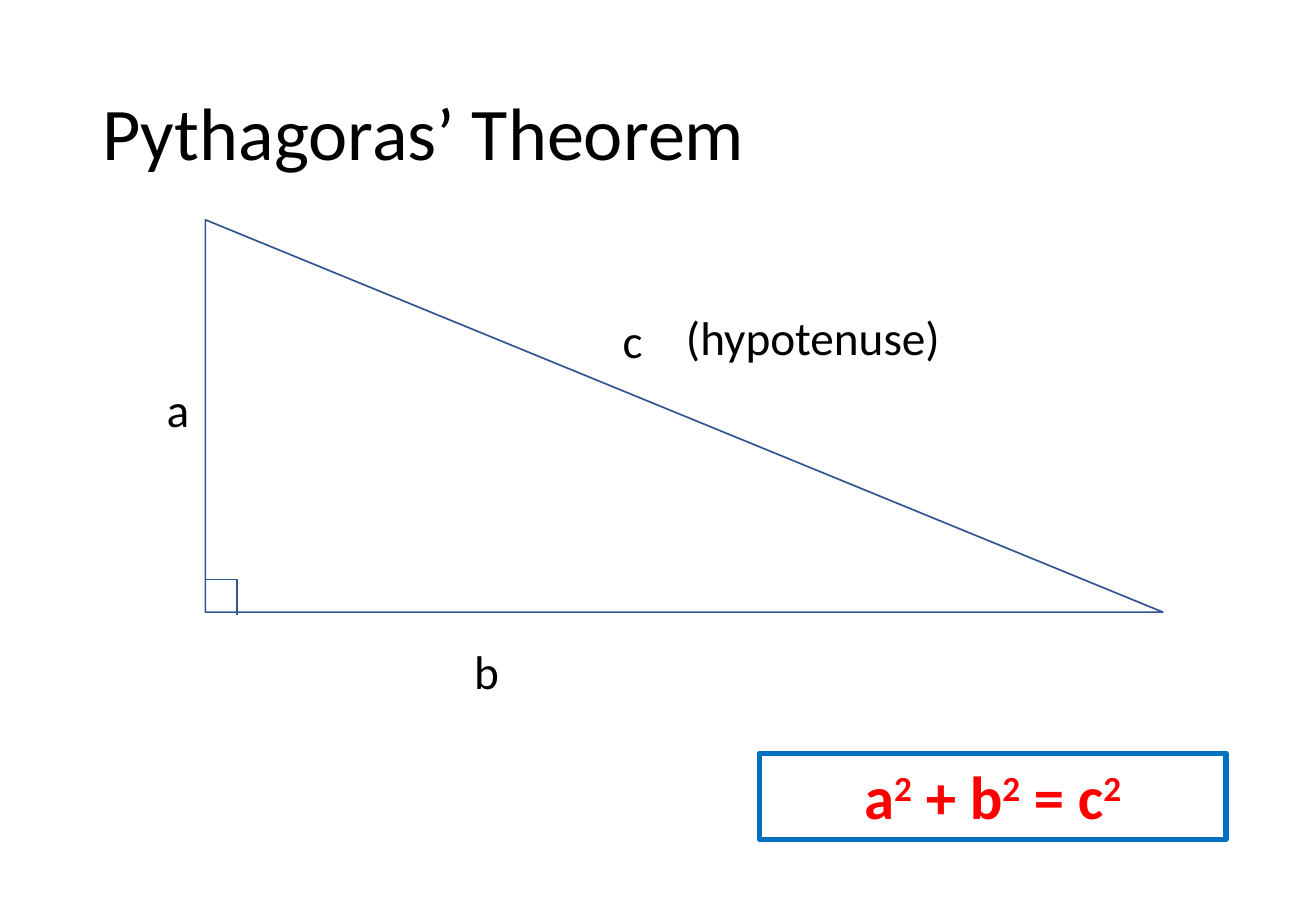
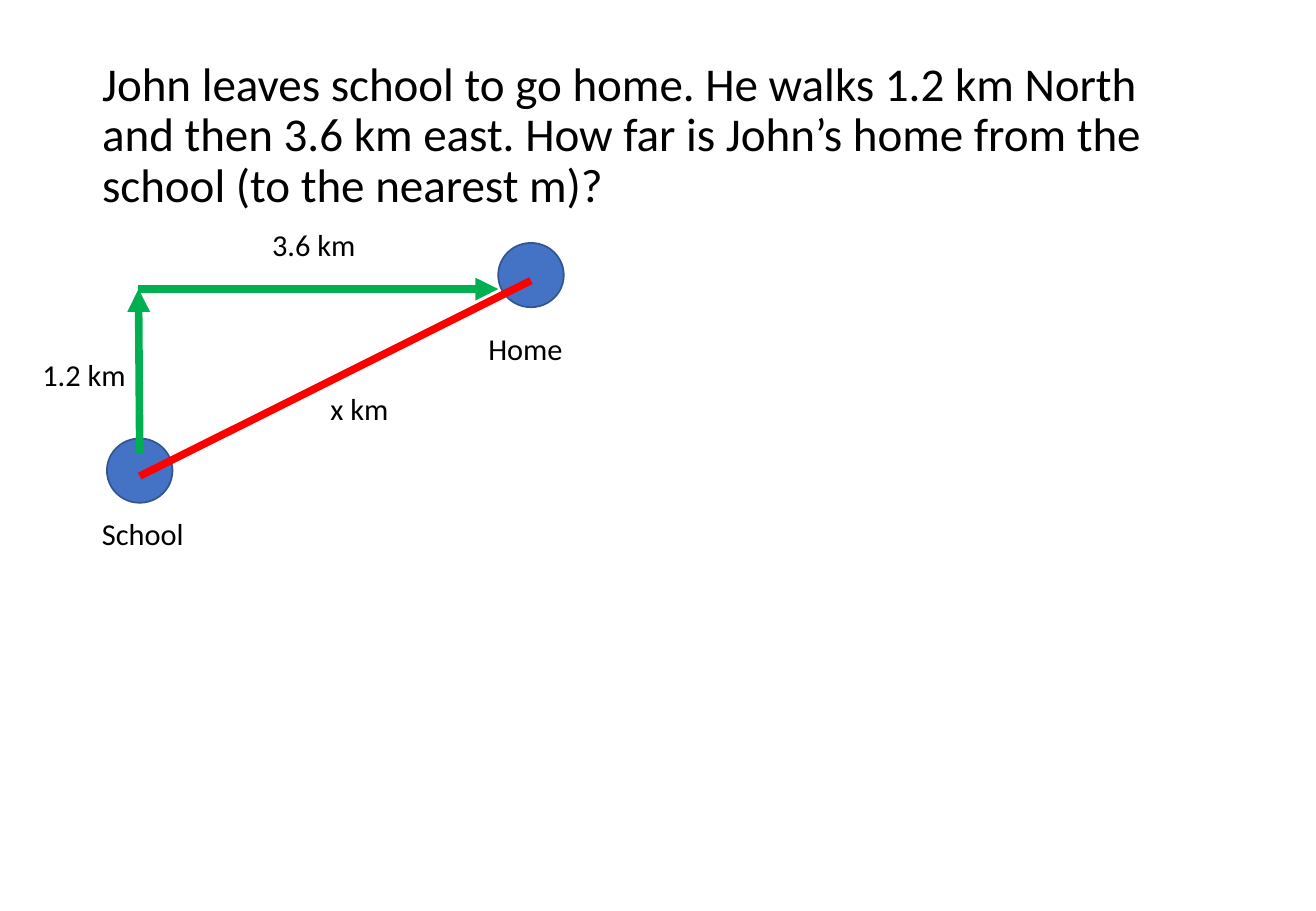
from dataclasses import dataclass
from typing import Optional

from lxml import etree
from pptx import Presentation
from pptx.dml.color import RGBColor
from pptx.enum.shapes import MSO_CONNECTOR, MSO_SHAPE
from pptx.enum.text import MSO_ANCHOR, MSO_AUTO_SIZE, PP_ALIGN
from pptx.oxml.ns import qn
from pptx.util import Emu, Pt

# Shared look
PX = 9144  # 100 px to the inch
FONT = "Calibri"
BLACK = RGBColor(0x00, 0x00, 0x00)
RED = RGBColor(0xFF, 0x00, 0x00)
GREEN = RGBColor(0x00, 0xB0, 0x50)
BLUE = RGBColor(0x44, 0x72, 0xC4)
NAVY = RGBColor(0x32, 0x54, 0x91)
FRAME_BLUE = RGBColor(0x00, 0x70, 0xC0)

LEFT, CENTER = PP_ALIGN.LEFT, PP_ALIGN.CENTER
TOP, MIDDLE = MSO_ANCHOR.TOP, MSO_ANCHOR.MIDDLE
FIT_SHAPE, NO_FIT = MSO_AUTO_SIZE.SHAPE_TO_FIT_TEXT, MSO_AUTO_SIZE.NONE
STRAIGHT = MSO_CONNECTOR.STRAIGHT
TRIANGLE, RECTANGLE, OVAL = MSO_SHAPE.RIGHT_TRIANGLE, MSO_SHAPE.RECTANGLE, MSO_SHAPE.OVAL

TITLE_ONLY = 5
TITLE_BOX = (74, 40, 934, 145)
TITLE_FRAME = {"word_wrap": True, "auto_size": NO_FIT, "vertical_anchor": MIDDLE}
LABEL_FRAME = {"word_wrap": True, "auto_size": FIT_SHAPE, "vertical_anchor": TOP}


@dataclass(frozen=True)
class Label:
    text: str
    left: int
    top: int
    width: int


@dataclass(frozen=True)
class Route:
    start: tuple[int, int]
    end: tuple[int, int]
    color: RGBColor
    arrow: bool


SIDE_LABELS = (
    Label("a", 115, 308, 63),
    Label("b", 369, 524, 63),
    Label("c", 489, 251, 63),
    Label("(hypotenuse)", 521, 249, 296),
)
FORMULA = (("a", False), ("2", True), (" + b", False),
           ("2", True), (" = c", False), ("2", True))

PLACES = ((88, 361), (410, 200))
ROUTES = (
    Route((115, 373), (114, 238), GREEN, True),
    Route((114, 238), (410, 238), GREEN, True),
    Route((115, 392), (437, 231), RED, False),
)
MAP_LABELS = (
    Label("School", 74, 419, 91),
    Label("Home", 392, 267, 91),
    Label("1.2 km", 25, 288, 95),
    Label("3.6 km", 214, 181, 95),
    Label("x km", 262, 316, 95),
)


def px(*lengths: int) -> list[Emu]:
    return [Emu(length * PX) for length in lengths]


def set_all(target, values: dict) -> None:
    for name, value in values.items():
        setattr(target, name, value)


def style_font(font, size: float, color: RGBColor = BLACK, bold: bool = False) -> None:
    set_all(font, {"name": FONT, "size": Pt(size), "bold": bold})
    font.color.rgb = color


def outline(shape, color: RGBColor, width: float, fill: Optional[RGBColor] = None) -> None:
    shape.shadow.inherit = False
    shape.line.color.rgb = color
    shape.line.width = Pt(width)
    if fill is None:
        shape.fill.background()
    else:
        shape.fill.solid()
        shape.fill.fore_color.rgb = fill


def add_titled_slide(prs, text: str, size: float):
    slide = prs.slides.add_slide(prs.slide_layouts[TITLE_ONLY])
    title = slide.shapes.title
    set_all(title, dict(zip(("left", "top", "width", "height"), px(*TITLE_BOX))))
    set_all(title.text_frame, TITLE_FRAME)
    title.text_frame.text = text
    paragraph = title.text_frame.paragraphs[0]
    set_all(paragraph, {"alignment": LEFT, "line_spacing": 0.9})
    style_font(paragraph.runs[0].font, size)
    return slide


def add_label(slide, label: Label, size: int, height: int, alignment) -> None:
    box = slide.shapes.add_textbox(*px(label.left, label.top, label.width, height))
    set_all(box.text_frame, LABEL_FRAME)
    box.text_frame.text = label.text
    paragraph = box.text_frame.paragraphs[0]
    paragraph.alignment = alignment
    style_font(paragraph.runs[0].font, size)


def add_formula(slide) -> None:
    frame = slide.shapes.add_shape(RECTANGLE, *px(625, 620, 384, 71))
    outline(frame, FRAME_BLUE, 3)
    set_all(frame.text_frame, LABEL_FRAME)
    paragraph = frame.text_frame.paragraphs[0]
    paragraph.alignment = CENTER
    for text, raised in FORMULA:
        run = paragraph.add_run()
        run.text = text
        style_font(run.font, 36, RED, True)
        if raised:
            run._r.get_or_add_rPr().set("baseline", "30000")


def add_route(slide, route: Route) -> None:
    line = slide.shapes.add_connector(STRAIGHT, *px(*route.start, *route.end))
    line.line.color.rgb = route.color
    line.line.width = Pt(4.5)
    if route.arrow:
        etree.SubElement(line.line._get_or_add_ln(), qn("a:tailEnd"), type="triangle")
    etree.SubElement(line._element.spPr, qn("a:effectLst"))


def build_theorem(prs) -> None:
    slide = add_titled_slide(prs, "Pythagoras’ Theorem", 44)
    # Triangle with its right-angle mark
    outline(slide.shapes.add_shape(TRIANGLE, *px(169, 181, 788, 323)), NAVY, 1)
    corner = slide.shapes.build_freeform(169, 477, scale=PX)
    corner.add_line_segments([(195, 477), (195, 506)], close=False)
    outline(corner.convert_to_shape(), NAVY, 1)
    # Side names and formula
    for label in SIDE_LABELS:
        add_label(slide, label, 28, 57, CENTER)
    add_formula(slide)


def build_walk_home(prs) -> None:
    slide = add_titled_slide(
        prs,
        "John leaves school to go home. He walks 1.2 km North and then 3.6 km east. "
        "How far is John’s home from the school (to the nearest m)?",
        27.9,
    )
    # School and home, the ways between them, and their labels
    for left, top in PLACES:
        outline(slide.shapes.add_shape(OVAL, *px(left, top, 54, 53)), NAVY, 1, BLUE)
    for route in ROUTES:
        add_route(slide, route)
    for label in MAP_LABELS:
        add_label(slide, label, 18, 40, LEFT)


def main() -> None:
    prs = Presentation()
    prs.slide_width, prs.slide_height = px(1083, 750)
    build_theorem(prs)
    build_walk_home(prs)
    prs.save("out.pptx")


if __name__ == "__main__":
    main()
